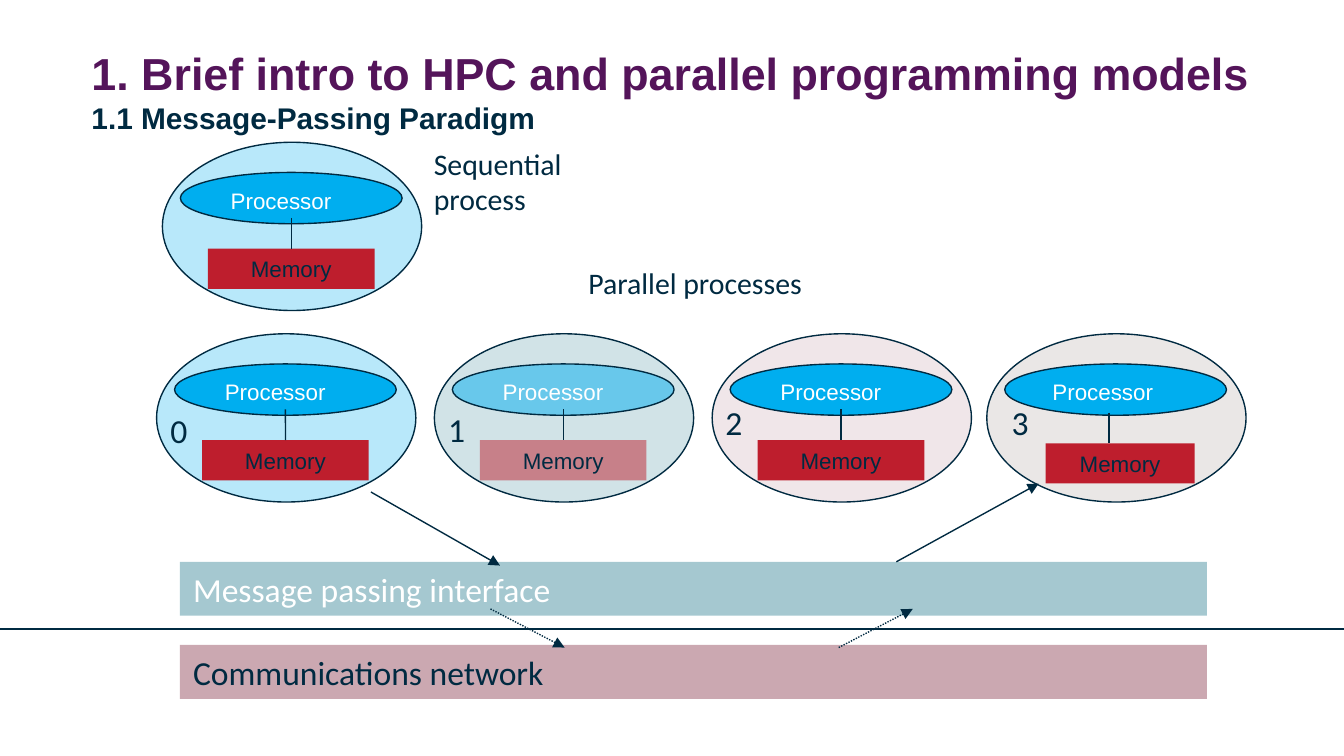
from lxml import etree
from pptx import Presentation
from pptx import util as u
from pptx.dml import color
from pptx.enum import dml, shapes, text
from pptx.oxml import ns

NAVY, BLUE, RED, WHITE = "002A41", "00AEEF", "BE1E2D", "FFFFFF"
TEAL, ROSE, GREY, PLUM = "A5C8D0", "CBA8B1", "B6AAA7", "54145A"
OVAL, RECT = shapes.MSO_SHAPE.OVAL, shapes.MSO_SHAPE.RECTANGLE
LEFT, MID = text.PP_ALIGN.LEFT, text.PP_ALIGN.CENTER


def rgb(code):
    return color.RGBColor.from_string(code)


def cm(*nums):
    return [u.Cm(n) for n in nums]


class Board:
    """Holds the line style and the shapes of the slide or group being drawn."""

    def __init__(self, slide):
        self.slide = slide
        self.shapes = slide.shapes
        self.width = u.Pt(0.75)

    def group(self):
        """Send the shapes that follow into a new group."""
        self.shapes = self.slide.shapes.add_group_shape().shapes

    def ungroup(self):
        self.shapes = self.slide.shapes

    def style(self, run, size, font, ink, bold=False):
        run.font.size = u.Pt(size)
        run.font.name = font
        run.font.bold = bold
        run.font.color.rgb = rgb(ink)

    def letter(self, item, words, size, font, ink, align=LEFT):
        """Put one styled paragraph into a shape."""
        frame = item.text_frame
        frame.word_wrap = True
        frame.text = words
        para = frame.paragraphs[0]
        para.alignment = align
        self.style(para.runs[0], size, font, ink)

    def shape(self, kind, box, fill, alpha=100, edge=False):
        item = self.shapes.add_shape(kind, *cm(*box))
        item.shadow.inherit = False
        item.fill.solid()
        item.fill.fore_color.rgb = rgb(fill)
        if alpha < 100:
            tint = item._element.spPr.find(".//" + ns.qn("a:srgbClr"))
            etree.SubElement(tint, ns.qn("a:alpha")).set("val", str(alpha * 1000))
        if edge:
            item.line.color.rgb = rgb(NAVY)
            item.line.width = self.width
        else:
            item.line.fill.background()
        return item

    def label(self, box, words, size, font="Calibri", ink=NAVY):
        item = self.shapes.add_textbox(*cm(*box))
        self.letter(item, words, size, font, ink)

    def line(self, start, end, arrow=False, dots=False):
        item = self.shapes.add_connector(
            shapes.MSO_CONNECTOR.STRAIGHT, *cm(*start, *end))
        item.line.color.rgb = rgb(NAVY)
        item.line.width = self.width
        props = item._element.spPr
        if dots:
            item.line.dash_style = dml.MSO_LINE.ROUND_DOT
        if arrow:
            tail = etree.SubElement(props.find(ns.qn("a:ln")), ns.qn("a:tailEnd"))
            tail.set("type", "triangle")
        etree.SubElement(props, ns.qn("a:effectLst"))
        return item

    def title(self, box, head, sub):
        item = self.shapes.add_textbox(*cm(*box))
        frame = item.text_frame
        frame.word_wrap = True
        frame.margin_left = frame.margin_right = frame.margin_bottom = 0
        frame.margin_top = u.Cm(0.1)
        frame.text = head + "\v" + sub
        first, second = frame.paragraphs[0].runs
        self.style(first, 24, "Arial", PLUM, True)
        self.style(second, 16, "Arial", NAVY, True)

    def bar(self, top, words, fill, ink):
        item = self.shape(RECT, (3.4, top, 19.41, 1.02), fill)
        self.letter(item, words, 18, "Calibri", ink)

    def node(self, x, y, fill, alpha, core=100, name=0.71, store=(0.86, 2.01, 3.15),
             wire=None):
        """Draw a process: an oval with a processor wired to its memory."""
        self.shape(OVAL, (x, y, 4.9, 3.18), fill, alpha, True)
        self.shape(OVAL, (x + 0.34, y + 0.57, 4.19, 0.97), BLUE, core, True)
        self.label((x + 0.33 + name, y + 0.72, 2.79, 0.76), "Processor", 12,
                   "Arial", WHITE)
        dx, dy, wide = store
        box = self.shape(RECT, (x + dx, y + dy, wide, 0.76), RED, core)
        self.letter(box, "Memory", 12, "Arial", NAVY, MID)
        mid = x + (wire or dx + wide / 2)
        link = self.line((mid, y + dy - 0.58), (mid, y + dy))
        if wire is None:
            link.end_connect(box, 0)


def main():
    deck = Presentation()
    deck.slide_width, deck.slide_height = cm(25.4, 14.29)
    board = Board(deck.slides.add_slide(deck.slide_layouts[6]))

    board.group()
    board.node(3.07, 2.69, BLUE, 28)
    board.ungroup()
    board.label((7.95, 2.62, 3.35, 1.6), "Sequential process", 16)

    board.line((0, 11.89), (25.4, 11.89))
    board.bar(12.19, "Communications network", ROSE, NAVY)
    board.bar(10.62, "Message passing interface", TEAL, WHITE)
    board.line((7.01, 9.3), (9.45, 10.69), arrow=True)
    board.line((16.94, 10.62), (19.63, 9.14), arrow=True)
    board.line((9.27, 11.51), (10.67, 12.24), arrow=True, dots=True)
    board.line((15.85, 12.24), (17.25, 11.51), arrow=True, dots=True)
    board.label((10.87, 4.88, 4.67, 0.94), "Parallel processes", 16)
    board.title((1.73, 0.76, 21.95, 2.39),
                "1. Brief intro to HPC and parallel programming models",
                "1.1 Message-Passing Paradigm")

    board.group()
    left, top, step = 2.96, 6.31, 5.25
    fills = [(BLUE, 28, 100), (TEAL, 50, 50), (ROSE, 28, 100)]
    for i, (fill, alpha, core) in enumerate(fills):
        board.node(left + i * step, top, fill, alpha, core)
    board.node(18.65, top, GREY, 28, name=0.66, store=(1.11, 2.07, 2.82), wire=2.31)
    spots = [(2.97, 7.62), (8.22, 7.6), (13.46, 7.47), (18.87, 7.47)]
    for rank, (x, y) in enumerate(spots):
        board.label((x, y, 0.86, 1.02), str(rank), 18)

    deck.save("out.pptx")


if __name__ == "__main__":
    main()
